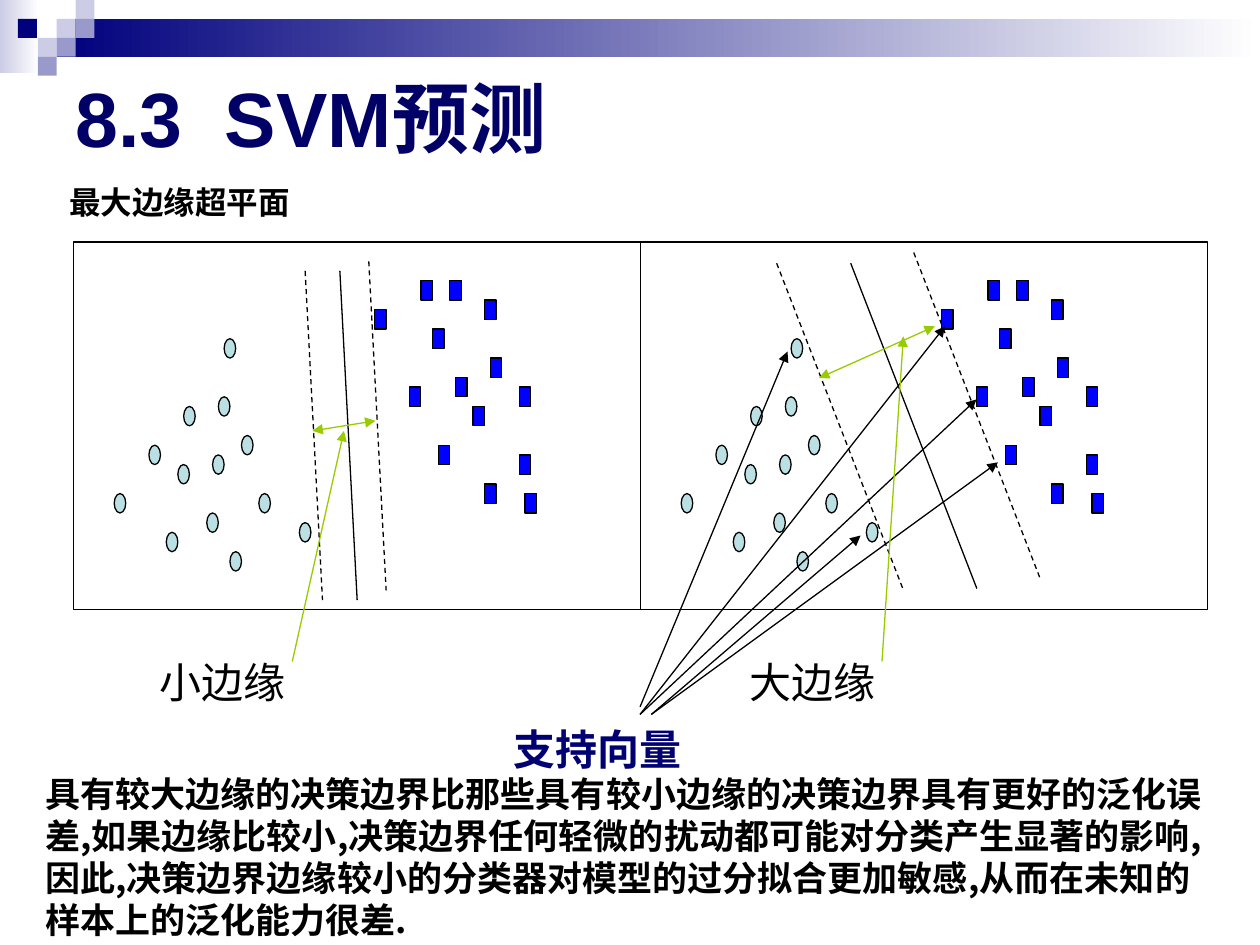
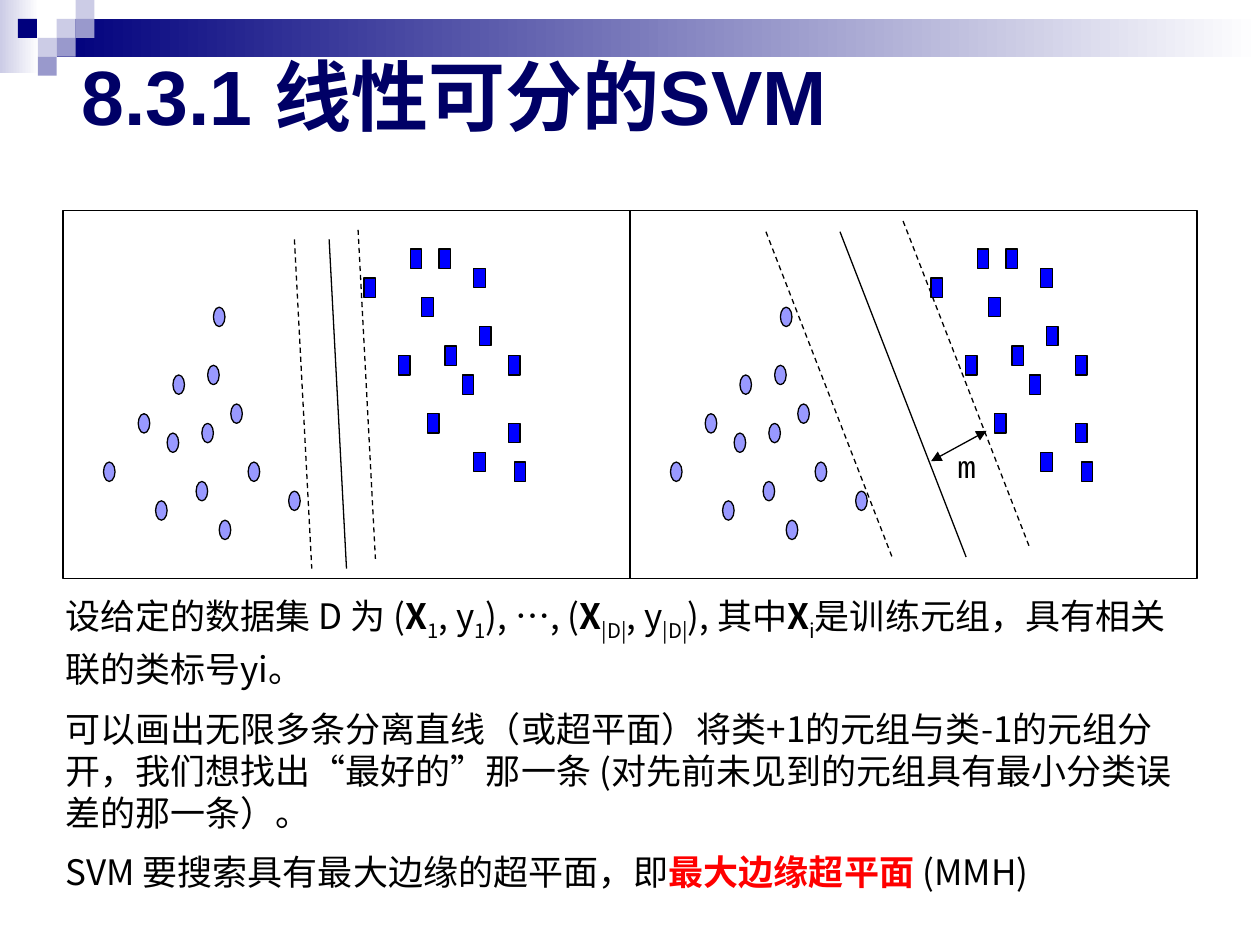
from lxml import etree
from pptx import Presentation
from pptx import util as u
from pptx.dml.color import RGBColor
from pptx.enum import dml, shapes, text
from pptx.oxml import ns

# The page is a grid of 100 columns by 75 rows
COLUMNS, ROWS = 100, 75
BLACK, NAVY, TITLE_BLUE = "000000", "00007D", "000066"
PALE, LILAC, WHITE = "CCCCE6", "9999CC", "FFFFFF"
BLUE, TEAL, PERIWINKLE = "0000FF", "BBE0E3", "9999FF"
GREEN, RED, LABEL_BLUE = "99CC00", "FF0000", "000072"
CJK, LATIN, LABEL_FONT, MONO = "Noto Sans CJK SC", "Arial", "Open Sans", "Courier New"
RECT, OVAL = shapes.MSO_SHAPE.RECTANGLE, shapes.MSO_SHAPE.OVAL

# Each scatter panel has its own grid of 98 by 38 cells; a point covers 2 by 2
PANEL_W, PANEL_H = 45, 29.2
CELL_W, CELL_H = PANEL_W / 98, PANEL_H / 38
CIRCLES = [(16, 30), (18, 23), (7, 26), (13, 21), (23, 28), (19, 17), (24, 22),
           (25, 16), (29, 20), (32, 26), (27, 32), (39, 29), (26, 10)]
SQUARES = [(58, 15), (52, 7), (60, 4), (63, 21), (62, 9), (66, 14), (65, 4),
           (71, 6), (69, 17), (72, 12), (71, 25), (77, 15), (77, 22), (78, 26)]
# Boundaries: start column, start row, dashed; all in one panel share a slope
NARROW = dict(run=(3, 34), starts=[(51, 2, True), (40, 3, True), (46, 3, False)])
WIDE = dict(run=(21.8, 33.6),
            starts=[(23.5, 2.2, True), (47.2, 1.1, True), (36.3, 2.2, False)])


def color(value):
    return RGBColor.from_string(value)


class SlideBuilder:
    def __init__(self, deck):
        self.deck = deck
        self.page = None

    def x(self, columns):
        return round(self.deck.slide_width * columns / COLUMNS)

    def y(self, rows):
        return round(self.deck.slide_height * rows / ROWS)

    def new_page(self):
        self.page = self.deck.slides.add_slide(self.deck.slide_layouts[6])
        self.header()

    def shape(self, kind, left, top, width, height, fill=None, line=None):
        """Draw a shape; a pair of fill colours makes a left-to-right gradient."""
        box = self.page.shapes.add_shape(
            kind, self.x(left), self.y(top), self.x(width), self.y(height))
        box.shadow.inherit = False
        if fill is None:
            box.fill.background()
        elif isinstance(fill, tuple):
            box.fill.gradient()
            box.fill.gradient_angle = 0
            for position, (stop, shade) in enumerate(zip(box.fill.gradient_stops, fill)):
                stop.position = position
                stop.color.rgb = color(shade)
        else:
            box.fill.solid()
            box.fill.fore_color.rgb = color(fill)
        if line:
            box.line.color.rgb = color(line)
            box.line.width = u.Pt(0.75)
        else:
            box.line.fill.background()
        return box

    def line(self, start, end, shade=BLACK, dashed=False, heads=()):
        """Draw a straight line; heads names the ends with a triangle."""
        link = self.page.shapes.add_connector(
            shapes.MSO_CONNECTOR.STRAIGHT,
            self.x(start[0]), self.y(start[1]), self.x(end[0]), self.y(end[1]))
        link.line.color.rgb = color(shade)
        link.line.width = u.Pt(0.75)
        if dashed:
            link.line.dash_style = dml.MSO_LINE.DASH
        outline = link.line._get_or_add_ln()
        for head in heads:
            etree.SubElement(outline, ns.qn("a:" + head), type="triangle")
        etree.SubElement(link._element.spPr, ns.qn("a:effectLst"))

    def text(self, left, top, width, height, paragraphs, size, font=CJK,
             shade=BLACK, bold=False, wrap=True, middle=False):
        """Write paragraphs, each a list of (words, style) runs."""
        box = self.page.shapes.add_textbox(
            self.x(left), self.y(top), self.x(width), self.y(height))
        frame = box.text_frame
        frame.word_wrap = wrap
        if middle:
            frame.vertical_anchor = text.MSO_ANCHOR.MIDDLE
        for index, runs in enumerate(paragraphs):
            para = frame.add_paragraph() if index else frame.paragraphs[0]
            para.space_before = u.Pt(size / 2 if index else 0)
            has_subscript = any(style.get("sub") for _, style in runs)
            para.line_spacing = u.Pt(size * (1.36 if has_subscript else 1.2))
            for words, style in runs:
                span = para.add_run()
                span.text = words
                span.font.size = u.Pt(size)
                span.font.name = font
                span.font.bold = style.get("bold", bold)
                span.font.color.rgb = color(style.get("shade", shade))
                properties = span._r.get_or_add_rPr()
                etree.SubElement(properties, ns.qn("a:ea"), typeface=CJK)
                if style.get("sub"):
                    properties.set("baseline", "-25000")

    def title(self, left, top, width, height, words):
        self.text(left, top, width, height, [[(words, {})]], 44, LATIN,
                  TITLE_BLUE, bold=True, middle=True)

    def label(self, left, top, width, words, size=24, font=LABEL_FONT, **style):
        self.text(left, top, width, size / 6 + 1, [[(words, {})]], size, font,
                  wrap=False, **style)

    def header(self):
        """Gradient band and the mosaic of small squares."""
        self.shape(RECT, 0, 0, 3.1, 5.8, (PALE, WHITE))
        self.shape(RECT, 4.5, 1.5, 95.5, 3, (NAVY, WHITE))
        tile = 1.5
        for column, row, shade in [(3, 1, PALE), (4, 0, PALE), (4, 1, LILAC),
                                   (2, 2, PALE), (0.95, 1, NAVY),
                                   (3, 2, LILAC), (2, 3, LILAC)]:
            self.shape(RECT, column * tile, row * tile, tile, tile, shade)

    def panel(self, left, top, circle_shade, boundaries):
        """One scatter panel: points, frame and three boundary lines."""
        def place(column, row):
            return left + column * CELL_W, top + row * CELL_H

        for kind, points, shade in [(OVAL, CIRCLES, circle_shade), (RECT, SQUARES, BLUE)]:
            for point in points:
                self.shape(kind, *place(*point), 2 * CELL_W, 2 * CELL_H, shade, BLACK)
        self.shape(RECT, left, top, PANEL_W, PANEL_H, line=BLACK)
        across, down = boundaries["run"]
        for column, row, dashed in boundaries["starts"]:
            self.line(place(column, row), place(column + across, row + down), dashed=dashed)

    def panel_pair(self, left, top, circle_shade):
        for index, boundaries in enumerate([NARROW, WIDE]):
            self.panel(left + index * PANEL_W, top, circle_shade, boundaries)


def margin_slide(builder):
    builder.new_page()
    builder.panel_pair(5.85, 19.2, TEAL)

    # Support vectors
    builder.label(39.8, 56.9, 15.6, "支持向量", shade=LABEL_BLUE, bold=True)
    for start, end in [((50.8, 56.7), (75, 25.9)), ((50.8, 56.7), (77.5, 31.7)),
                       ((51.7, 56.7), (79.2, 36.7)), ((51.7, 56.7), (68.3, 42.5)),
                       ((50.8, 56.1), (62.5, 27.9))]:
        builder.line(start, end, heads=["tailEnd"])

    # Margin widths: label, double arrow, pointer
    for left, words, span, pointer in [
            (11.7, "小边缘", ((24.8, 34.2), (29.8, 33.4)), ((23.2, 52.5), (27.3, 34.2))),
            (58.5, "大边缘", ((65, 30), (74.2, 25.9)), ((70, 52.5), (71.7, 26.7)))]:
        builder.label(left, 51.6, 12, words)
        builder.line(*span, GREEN, heads=["headEnd", "tailEnd"])
        builder.line(*pointer, GREEN, heads=["tailEnd"])

    # Conclusion, title and subtitle
    conclusion = ("具有较大边缘的决策边界比那些具有较小边缘的决策边界具有更好的泛化误差,"
                  "如果边缘比较小,决策边界任何轻微的扰动都可能对分类产生显著的影响,"
                  "因此,决策边界边缘较小的分类器对模型的过分拟合更加敏感,"
                  "从而在未知的样本上的泛化能力很差.")
    builder.text(2.6, 60.8, 94.9, 14.2, [[(conclusion, {})]], 20, bold=True)
    builder.title(5, 3, 90, 12.5, "8.3  SVM预测")
    builder.label(4.5, 14, 19.8, "最大边缘超平面", 18, CJK, bold=True)


def separable_slide(builder):
    builder.new_page()
    builder.title(5.5, 4.2, 94, 6.7, "8.3.1 线性可分的SVM")
    builder.panel_pair(5, 16.7, PERIWINKLE)

    # Margin m
    builder.line((73.9, 36.6), (78.3, 34.2), heads=["headEnd", "tailEnd"])
    builder.label(75, 35, 5.8, "m", 18, MONO)

    # Explanation
    plain, strong, sub = {}, {"bold": True}, {"sub": True}
    builder.text(4.2, 46.7, 90.8, 24.6, [
        [("设给定的数据集 D 为 (", plain), ("X", strong), ("1", sub), (", y", plain),
         ("1", sub), ("), …, (", plain), ("X", strong), ("|D|", sub), (", y", plain),
         ("|D|", sub), ("), 其中", plain), ("X", strong), ("i", sub),
         ("是训练元组，具有相关联的类标号yi。", plain)],
        [("可以画出无限多条分离直线（或超平面）将类+1的元组与类-1的元组分开，"
          "我们想找出“最好的”那一条 (对先前未见到的元组具有最小分类误差的那一条）。", plain)],
        [("SVM 要搜索具有最大边缘的超平面，即", plain),
         ("最大边缘超平面 ", {"bold": True, "shade": RED}), ("(MMH)", plain)],
    ], 20)


def main():
    deck = Presentation()
    deck.slide_width, deck.slide_height = u.Inches(10), u.Inches(7.5)
    builder = SlideBuilder(deck)
    margin_slide(builder)
    separable_slide(builder)
    deck.save("out.pptx")


if __name__ == "__main__":
    main()
